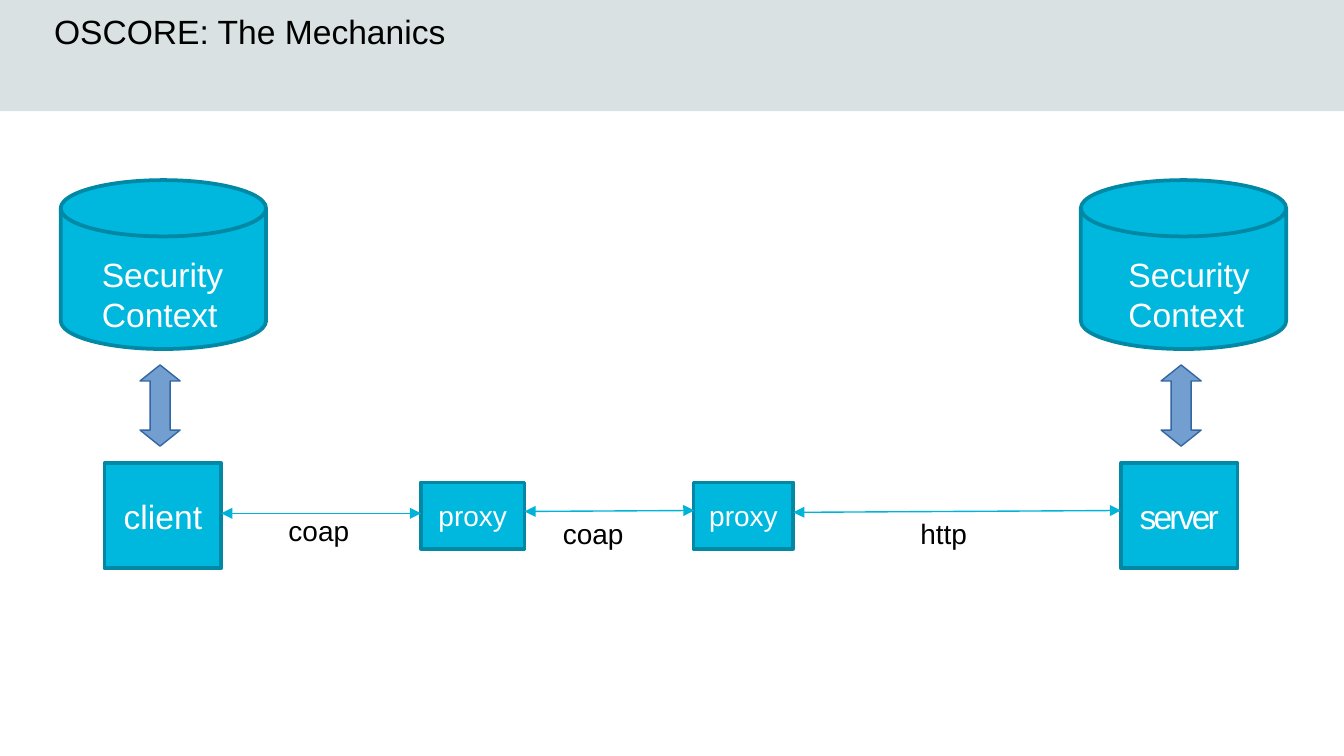
from dataclasses import dataclass

import pptx
import pptx.dml.color
import pptx.enum.shapes
import pptx.enum.text
import pptx.oxml.ns
import pptx.util
from lxml import etree

Pt = pptx.util.Pt
SHAPE = pptx.enum.shapes.MSO_SHAPE
ANCHOR = pptx.enum.text.MSO_ANCHOR
ALIGN = pptx.enum.text.PP_ALIGN
AUTO = pptx.enum.text.MSO_AUTO_SIZE

FONT = "Arial"
COLORS = {
    "band": "D9E1E2", "node": "00B8DE", "node_edge": "0088A4", "link": "00B3D9",
    "arrow": "729FCF", "arrow_edge": "3465A4", "black": "000000", "white": "FFFFFF",
}


@dataclass
class Box:
    x: float
    y: float
    w: float
    h: float

    def emu(self) -> tuple:
        return Pt(self.x), Pt(self.y), Pt(self.w), Pt(self.h)


@dataclass
class Node:
    text: str
    box: Box
    size: float
    spacing: float = 0


@dataclass
class Link:
    text: str
    x1: float
    y1: float
    x2: float
    y2: float
    label: Box


def rgb(name: str) -> pptx.dml.color.RGBColor:
    return pptx.dml.color.RGBColor.from_string(COLORS[name])


def add_run(p, text: str, size: float, color: str, spacing: float = 0) -> None:
    r = p.add_run()
    r.text = text
    r.font.name = FONT
    r.font.size = Pt(size)
    r.font.bold = False
    r.font.color.rgb = rgb(color)
    if spacing:
        r.font._element.set("spc", str(int(spacing * 100)))


def add_shape(s, kind, box: Box, fill: str, edge: str = "", width: float = 2):
    sp = s.shapes.add_shape(kind, *box.emu())
    sp.shadow.inherit = False
    sp.fill.solid()
    sp.fill.fore_color.rgb = rgb(fill)
    if edge:
        sp.line.color.rgb = rgb(edge)
        sp.line.width = Pt(width)
    else:
        sp.line.fill.background()
    return sp


def add_node(s, node: Node) -> None:
    sp = add_shape(s, SHAPE.RECTANGLE, node.box, "node", "node_edge")
    tf = sp.text_frame
    tf.vertical_anchor = ANCHOR.MIDDLE
    p = tf.paragraphs[0]
    p.alignment = ALIGN.CENTER
    add_run(p, node.text, node.size, "white", node.spacing)


def add_label(s, text: str, box: Box, size: float, color: str, wrap: bool) -> None:
    tf = s.shapes.add_textbox(*box.emu()).text_frame
    tf.word_wrap = wrap
    tf.auto_size = AUTO.SHAPE_TO_FIT_TEXT
    add_run(tf.paragraphs[0], text, size, color)


def add_link(s, link: Link) -> None:
    c = s.shapes.add_connector(
        pptx.enum.shapes.MSO_CONNECTOR.STRAIGHT,
        Pt(link.x1), Pt(link.y1), Pt(link.x2), Pt(link.y2))
    c.line.color.rgb = rgb("link")
    c.line.width = Pt(0.75)
    sp_pr = c._element.spPr
    ln = sp_pr.find(pptx.oxml.ns.qn("a:ln"))
    for end in ("a:headEnd", "a:tailEnd"):
        etree.SubElement(ln, pptx.oxml.ns.qn(end), type="triangle")
    etree.SubElement(sp_pr, pptx.oxml.ns.qn("a:effectLst"))


def add_context(s, disk_x: float, text_x: float, arrow_x: float) -> None:
    add_shape(s, SHAPE.FLOWCHART_MAGNETIC_DISK, Box(disk_x, 96.5, 110, 90.5),
              "node", "node_edge")
    add_label(s, "Security Context", Box(text_x, 132.5, 80, 47.5), 18, "white", True)
    arrow = add_shape(s, SHAPE.LEFT_RIGHT_ARROW, Box(arrow_x, 206.5, 43.5, 21.5),
                      "arrow", "arrow_edge", 0)
    arrow.rotation = 90
    arrow.adjustments[0] = 0.5
    arrow.adjustments[1] = 0.4


def add_title(s, text: str) -> None:
    sp = s.shapes.title
    sp.left, sp.top, sp.width, sp.height = Box(29, 6, 569.5, 21.5).emu()
    tf = sp.text_frame
    tf.margin_left = tf.margin_right = tf.margin_top = tf.margin_bottom = 0
    tf.vertical_anchor = ANCHOR.TOP
    tf.auto_size = AUTO.NONE
    tf.word_wrap = True
    p = tf.paragraphs[0]
    p.alignment = ALIGN.LEFT
    add_run(p, text, 18, "black")


NODES = [
    Node("client", Box(56, 248, 62.5, 56.5), 18),
    Node("server", Box(600.5, 248, 62.5, 56.5), 18, -1.5),
    Node("proxy", Box(225.5, 258.5, 55.5, 35.5), 15),
    Node("proxy", Box(371.5, 258.5, 53.5, 35.5), 15),
]
LINKS = [
    Link("coap", 118.5, 275, 225.5, 275, Box(147.5, 271.5, 47, 25)),
    Link("coap", 281, 274, 372, 273.5, Box(294.5, 273, 47, 25)),
    Link("http", 425, 274.5, 600.5, 273.5, Box(486, 273, 39.5, 25)),
]


def main() -> None:
    prs = pptx.Presentation()
    prs.slide_width, prs.slide_height = Pt(720), Pt(405)
    s = prs.slides.add_slide(prs.slide_layouts[5])

    # Header band, placed behind the title
    band = add_shape(s, SHAPE.RECTANGLE, Box(0, 0, 720, 59.5), "band")
    s.shapes.title._element.addprevious(band._element)
    add_title(s, "OSCORE: The Mechanics")

    # Endpoints and proxies
    for node in NODES:
        add_node(s, node)

    # Protocol links with their labels
    for link in LINKS:
        add_link(s, link)
        add_label(s, link.text, link.label, 15, "black", False)

    # Security contexts above client and server
    add_context(s, 32.5, 47.5, 64)
    add_context(s, 579, 597.5, 611)

    prs.save("out.pptx")


if __name__ == "__main__":
    main()
